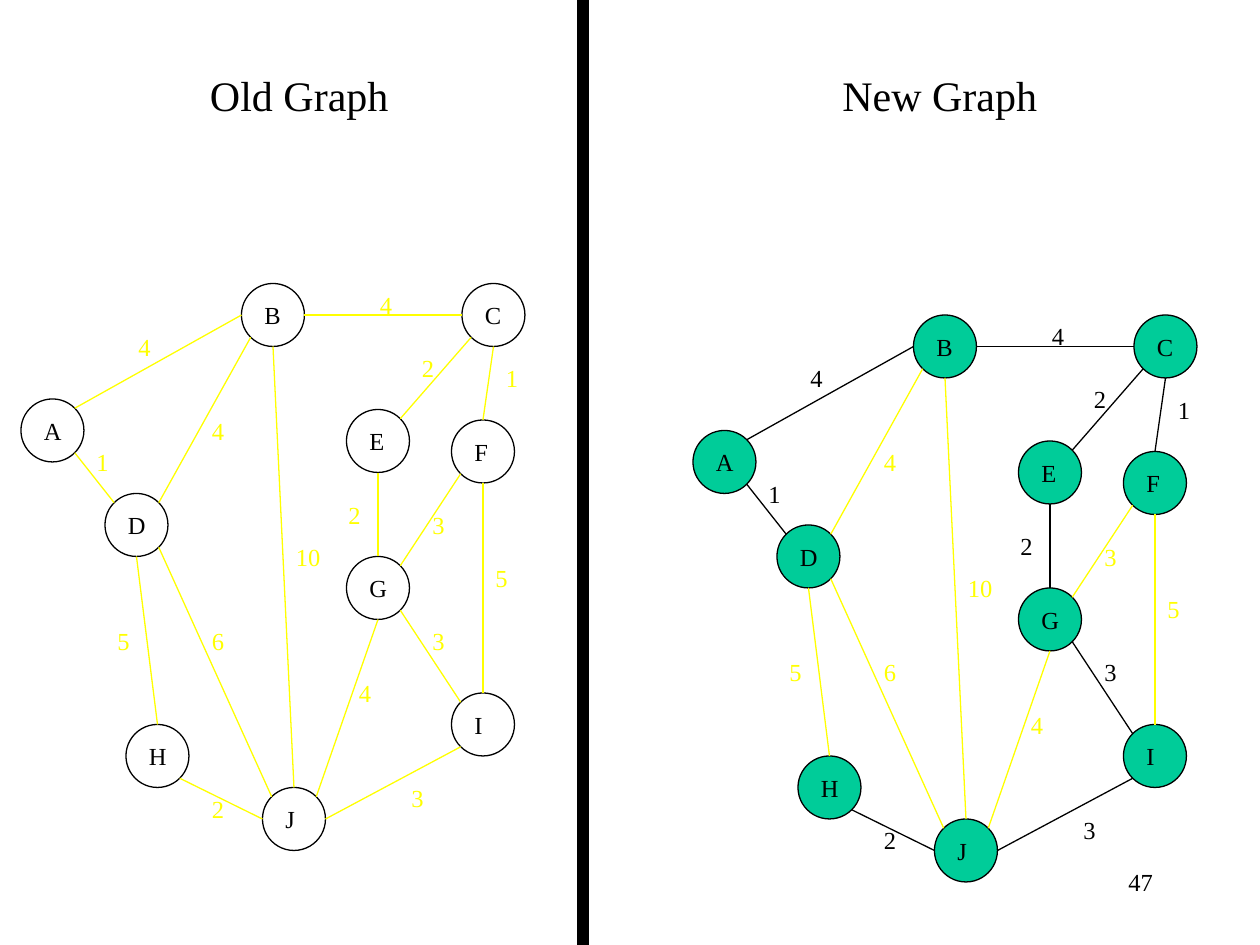
from dataclasses import dataclass
from math import cos, radians, sin

from lxml import etree
from pptx import Presentation
from pptx.dml.color import RGBColor
from pptx.enum.shapes import MSO_CONNECTOR, MSO_SHAPE
from pptx.enum.text import MSO_ANCHOR, MSO_AUTO_SIZE, PP_ALIGN
from pptx.oxml.ns import qn
from pptx.util import Pt

OVAL, RECT = MSO_SHAPE.OVAL, MSO_SHAPE.RECTANGLE
LINE = MSO_CONNECTOR.STRAIGHT
TOP = MSO_ANCHOR.TOP
FIT, FIXED = MSO_AUTO_SIZE.SHAPE_TO_FIT_TEXT, MSO_AUTO_SIZE.NONE
LEFT, MID, RIGHT = PP_ALIGN.LEFT, PP_ALIGN.CENTER, PP_ALIGN.RIGHT


@dataclass(frozen=True)
class Theme:
    font: str = "Times New Roman"
    ink: RGBColor = RGBColor(0, 0, 0)
    pale: RGBColor = RGBColor(0xFF, 0xFF, 0)
    node: RGBColor = RGBColor(0, 0xCC, 0x99)
    head: float = 24
    body: float = 14
    rule: float = 0.75


THEME = Theme()
SIZE = 36
INSET = 6
HIGH = 24

NODES = {
    "A": (12, 228, 24.5),
    "B": (138, 162, 23.75),
    "C": (264, 162, 23.75),
    "D": (60, 282, 24.5),
    "E": (198, 234, 23),
    "F": (258, 240, 22.25),
    "G": (198, 318, 24.5),
    "H": (72, 414, 24.5),
    "I": (258, 396, 19.25),
    "J": (150, 450, 20),
}
ANGLES = {"e": 0, "se": 45, "s": 90, "sw": 135,
          "w": 180, "nw": 225, "n": 270, "ne": 315}
EDGES = [
    ("B", "e", "C", "w", "4", 210, 162, True),
    ("B", "sw", "D", "ne", "4", 114, 234, False),
    ("D", "se", "J", "nw", "6", 114, 354, False),
    ("J", "ne", "G", "s", "4", 198, 384, False),
    ("F", "sw", "G", "ne", "3", 240, 288, False),
    ("E", "s", "G", "n", "2", 192, 282, True),
    ("B", "s", "J", "n", "10", 162, 306, False),
    ("C", "sw", "E", "ne", "2", 234, 198, True),
    ("C", "s", "F", "n", "1", 282, 204, True),
    ("J", "e", "I", "sw", "3", 228, 444, True),
    ("J", "w", "H", "se", "2", 114, 450, True),
    ("D", "nw", "A", "se", "1", 48, 252, True),
    ("I", "nw", "G", "se", "3", 240, 354, True),
    ("F", "s", "I", "n", "5", 276, 318, False),
    ("A", "ne", "B", "w", "4", 72, 186, True),
    ("D", "s", "H", "n", "5", 60, 354, False),
]


def apply(item, form):
    for name, value in form.items():
        setattr(item, name, value)


def write(shape, text, size, color, align=LEFT, wrap=True, fit=FIXED):
    frame = shape.text_frame
    frame.text = text
    apply(frame, {"word_wrap": wrap, "auto_size": fit,
                  "vertical_anchor": TOP})
    para = frame.paragraphs[0]
    apply(para, {"alignment": align, "space_before": Pt(0)})
    font = para.runs[0].font
    apply(font, {"name": THEME.font, "size": Pt(size)})
    font.color.rgb = color


def label(slide, text, x, y, wide, color):
    box = slide.shapes.add_textbox(Pt(x), Pt(y), Pt(wide), Pt(HIGH))
    write(box, text, THEME.body, color, wrap=False, fit=FIT)


def heading(shape, text, x):
    apply(shape, {"left": Pt(x), "top": Pt(36),
                  "width": Pt(210), "height": Pt(36)})
    write(shape, text, THEME.head, THEME.ink, MID)


def block(slide, kind, x, y, wide, high, fill):
    shape = slide.shapes.add_shape(kind, Pt(x), Pt(y), Pt(wide), Pt(high))
    shape.shadow.inherit = False
    if fill is None:
        shape.fill.background()
    else:
        shape.fill.solid()
        shape.fill.fore_color.rgb = fill
    shape.line.color.rgb = THEME.ink
    shape.line.width = Pt(THEME.rule)


def site(name, side):
    x, y, _ = NODES[name]
    half, turn = SIZE / 2, radians(ANGLES[side])
    return x + half + half * cos(turn), y + half + half * sin(turn)


def link(slide, start, end, color):
    line = slide.shapes.add_connector(LINE, *(Pt(n) for n in start + end))
    line.line.color.rgb = color
    line.line.width = Pt(THEME.rule)
    etree.SubElement(line.element.spPr, qn("a:effectLst"))


def graph(slide, dx, dy, fill, kept):
    for x, y, _ in NODES.values():
        block(slide, OVAL, x + dx, y + dy, SIZE, SIZE, fill)
    for head, out, tail, into, cost, x, y, tree in EDGES:
        color = kept if tree else THEME.pale
        (ax, ay), (bx, by) = site(head, out), site(tail, into)
        link(slide, (ax + dx, ay + dy), (bx + dx, by + dy), color)
        label(slide, cost, x + dx, y + dy, 14.4 + 7 * len(cost), color)
    for name, (x, y, wide) in NODES.items():
        label(slide, name, x + dx + INSET, y + dy + INSET, wide, THEME.ink)


def main():
    deck = Presentation()
    apply(deck, {"slide_width": Pt(720), "slide_height": Pt(540)})
    slide = deck.slides.add_slide(deck.slide_layouts[0])
    heading(slide.shapes.title, "Old Graph", 66)
    heading(slide.placeholders[1], "New Graph", 432)
    block(slide, RECT, 330, 0, 6, 540, THEME.ink)
    graph(slide, 0, 0, None, THEME.pale)
    graph(slide, 384, 18, THEME.node, THEME.ink)
    page = slide.shapes.add_textbox(Pt(516), Pt(492), Pt(150), Pt(36))
    write(page, "47", THEME.body, THEME.ink, RIGHT)
    deck.save("out.pptx")


main()
